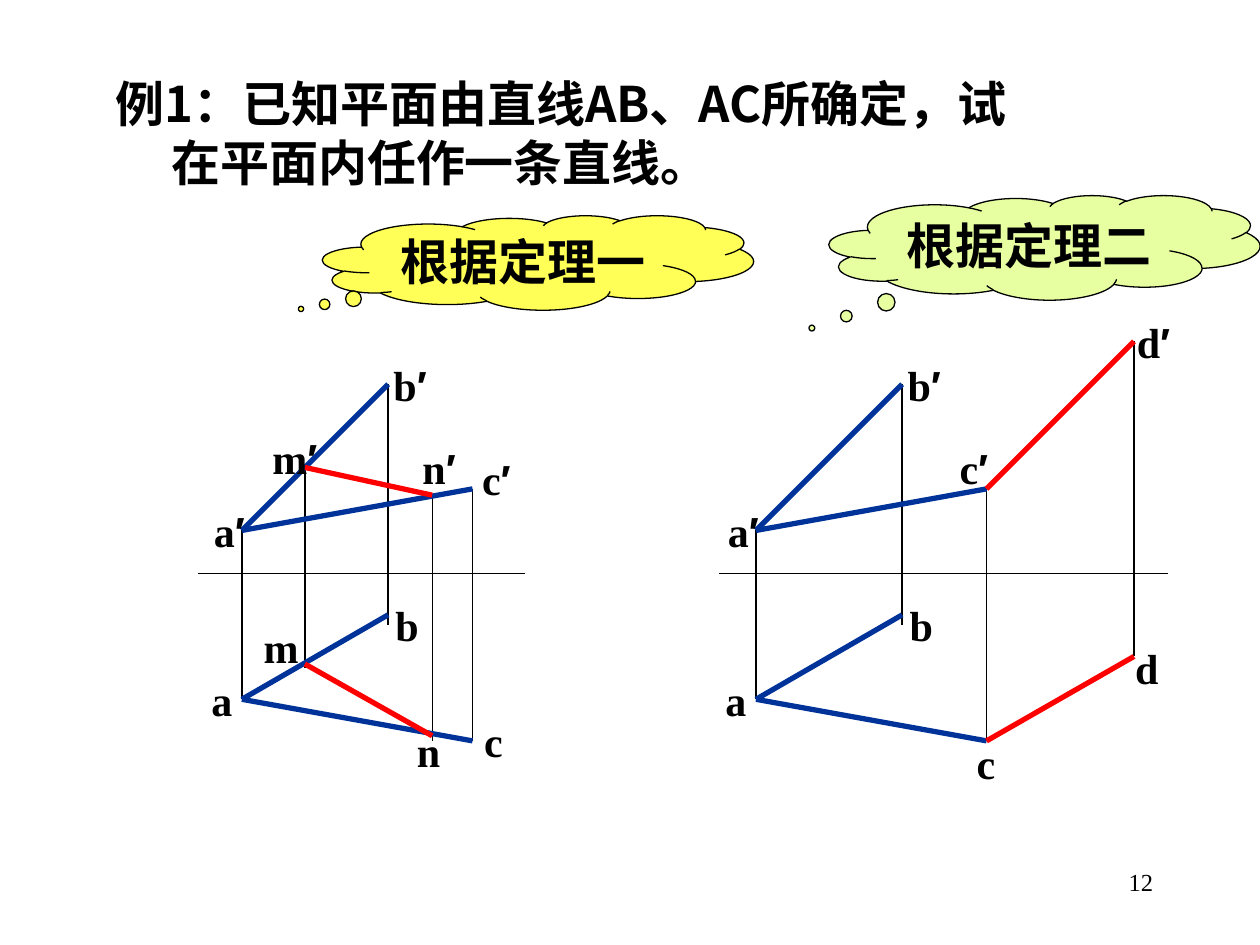
"""Build the slide on drawing a line in the plane fixed by AB and AC."""
import dataclasses

import lxml.etree
import pptx
import pptx.dml.color
import pptx.enum.shapes
import pptx.enum.text
import pptx.oxml.ns
import pptx.util

PX = 9144
ALIGN = pptx.enum.text.PP_ALIGN
ANCHOR = pptx.enum.text.MSO_ANCHOR
SHAPE = pptx.enum.shapes.MSO_SHAPE
STRAIGHT = pptx.enum.shapes.MSO_CONNECTOR.STRAIGHT


@dataclasses.dataclass(frozen=True)
class Theme:
    ink: str = "000000"
    given: str = "003399"
    answer: str = "FF0000"
    yellow: str = "FFFF00"
    green: str = "CCFF33"
    latin: str = "Times New Roman"
    prime: str = "Arial"
    chinese: str = "Noto Sans CJK SC"
    heading: int = 28
    letter: int = 24
    number: int = 14
    thin: float = 0.75
    thick: float = 3


THEME = Theme()


@dataclasses.dataclass(frozen=True)
class Point:
    x: int
    front: int
    plan: int
    overrun: int = 0


def px(*lengths):
    """Turn px lengths into EMU."""
    return [length * PX for length in lengths]


def rgb(colour):
    """Return a colour object for a hex string."""
    return pptx.dml.color.RGBColor.from_string(colour)


def add_child(parent, tag, **attributes):
    """Append a DrawingML element to a parent."""
    return lxml.etree.SubElement(parent, pptx.oxml.ns.qn(tag), **attributes)


def style(paragraph, size, name=THEME.latin, bold=True, align=ALIGN.CENTER):
    """Set the font and alignment of a paragraph."""
    paragraph.alignment = align
    font = paragraph.font
    font.size, font.name, font.bold = pptx.util.Pt(size), name, bold
    font.color.rgb = rgb(THEME.ink)


def add_line(slide, start, end, colour, weight):
    """Draw a straight line between two px positions."""
    line = slide.shapes.add_connector(STRAIGHT, *px(*start, *end))
    line.line.color.rgb = rgb(colour)
    line.line.width = pptx.util.Pt(weight)
    add_child(line._element.spPr, "a:effectLst")


def add_letter(slide, left, top, width, letter):
    """Label a projected point, with its prime mark in another font."""
    frame = slide.shapes.add_textbox(*px(left, top, width, 50)).text_frame
    frame.word_wrap = False
    frame.vertical_anchor = ANCHOR.MIDDLE
    paragraph = frame.paragraphs[0]
    style(paragraph, THEME.letter)
    paragraph.add_run().text = letter[0]
    if letter.endswith("′"):
        prime = paragraph.add_run()
        prime.text = "′"
        prime.font.name = THEME.prime


def add_title(slide, left, top, width, height):
    """Place the two-line problem statement in the title placeholder."""
    title = slide.shapes.title
    title.left, title.top, title.width, title.height = px(left, top, width, height)
    frame = title.text_frame
    frame.auto_size = pptx.enum.text.MSO_AUTO_SIZE.NONE
    frame.word_wrap = True
    frame.vertical_anchor = ANCHOR.MIDDLE
    frame.text = "例1：已知平面由直线AB、AC所确定，试\n在平面内任作一条直线。"
    for paragraph, indent in zip(frame.paragraphs, (0, 44)):
        properties = paragraph._p.get_or_add_pPr()
        properties.set("marL", str(indent * PX))
        properties.set("indent", "0")
        paragraph.line_spacing = pptx.util.Pt(33.7)
        style(paragraph, THEME.heading, THEME.chinese, align=ALIGN.LEFT)
        defaults = properties.find(pptx.oxml.ns.qn("a:defRPr"))
        add_child(defaults, "a:ea", typeface=THEME.chinese)


def add_thought(slide, left, top, width, height, text, colour, opacity, tail):
    """Place a translucent thought cloud naming the theorem in use."""
    cloud = slide.shapes.add_shape(SHAPE.CLOUD_CALLOUT, *px(left, top, width, height))
    cloud.adjustments[0], cloud.adjustments[1] = tail
    cloud.shadow.inherit = False
    cloud.fill.solid()
    cloud.fill.fore_color.rgb = rgb(colour)
    fill = cloud._element.spPr.find(pptx.oxml.ns.qn("a:solidFill"))
    add_child(fill[0], "a:alpha", val=str(opacity * 1000))
    cloud.line.color.rgb = rgb(THEME.ink)
    cloud.line.width = pptx.util.Pt(THEME.thin)
    frame = cloud.text_frame
    frame.word_wrap = False
    frame.vertical_anchor = ANCHOR.MIDDLE
    frame.text = text
    style(frame.paragraphs[0], THEME.heading)


def add_views(slide, left, top, axis, extra_points, answer, extra_letters):
    """Draw front and plan views of AB and AC with an answer line."""
    points = {"a": Point(34, 175, 309), "b": Point(150, 59, 242, 8),
              "c": Point(217, 142, 342)} | extra_points
    letters = {"a": (0, 284, 36), "a′": (0, 150, 48),
               "b": (146, 225, 38), "b′": (143, 34, 49)} | extra_letters

    def at(x, y):
        return left + x, top + y

    axis_start, axis_end = axis
    add_line(slide, at(axis_start, 209), at(axis_end, 209), THEME.ink, THEME.thin)
    for point in points.values():
        add_line(slide, at(point.x, point.front),
                 at(point.x, point.plan + point.overrun), THEME.ink, THEME.thin)
    for ends, colour in (("ab", THEME.given), ("ac", THEME.given), (answer, THEME.answer)):
        start, end = (points[name] for name in ends)
        for view in ("front", "plan"):
            add_line(slide, at(start.x, getattr(start, view)),
                     at(end.x, getattr(end, view)), colour, THEME.thick)
    for letter, (x, y, width) in letters.items():
        add_letter(slide, *at(x, y), width, letter)


def add_page_number(slide, left, top, width, height):
    """Place the page number at the lower right."""
    frame = slide.shapes.add_textbox(*px(left, top, width, height)).text_frame
    frame.word_wrap = True
    frame.text = "12"
    style(frame.paragraphs[0], THEME.number, bold=False, align=ALIGN.RIGHT)


def main():
    """Assemble and save the slide."""
    deck = pptx.Presentation()
    deck.slide_width, deck.slide_height = px(1000, 750)
    slide = deck.slides.add_slide(deck.slide_layouts[5])
    add_page_number(slide, 717, 683, 208, 50)
    add_views(slide, 158, 246, (-1, 259),
              {"m": Point(84, 125, 281, 3), "n": Point(185, 147, 338, 4)}, "mn",
              {"c": (216, 317, 35), "c′": (213, 109, 46),
               "m": (41, 242, 48), "m′": (35, 92, 82),
               "n": (163, 325, 38), "n′": (166, 100, 49)})
    add_views(slide, 566, 246, (5, 361), {"d": Point(334, 25, 275)}, "cd",
              {"c": (199, 334, 35), "c′": (184, 100, 46),
               "d": (325, 259, 38), "d′": (325, 0, 49)})
    add_title(slide, 82, 53, 842, 104)
    add_thought(slide, 658, 155, 342, 83, "根据定理二", THEME.green, 46, (-0.54, 0.77))
    add_thought(slide, 256, 171, 342, 75, "根据定理一", THEME.yellow, 66, (-0.55, 0.49))
    deck.save("out.pptx")


if __name__ == "__main__":
    main()
